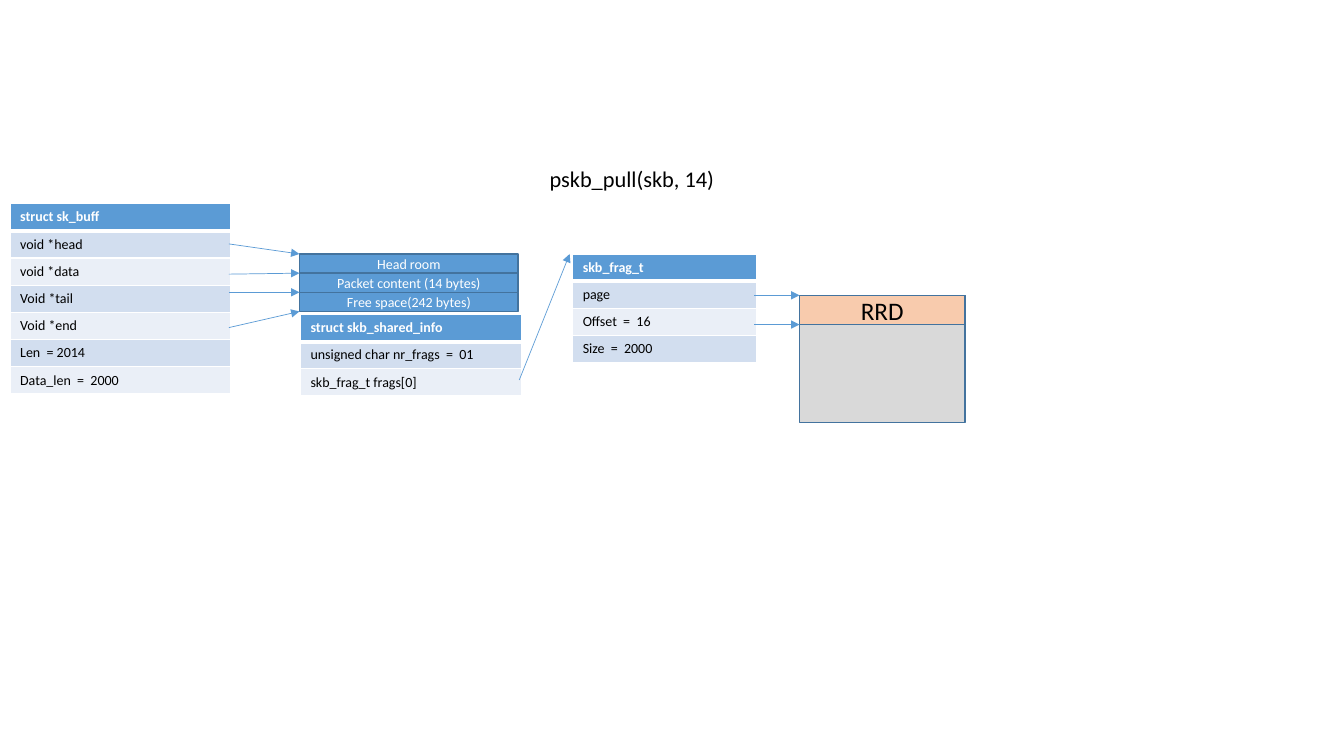
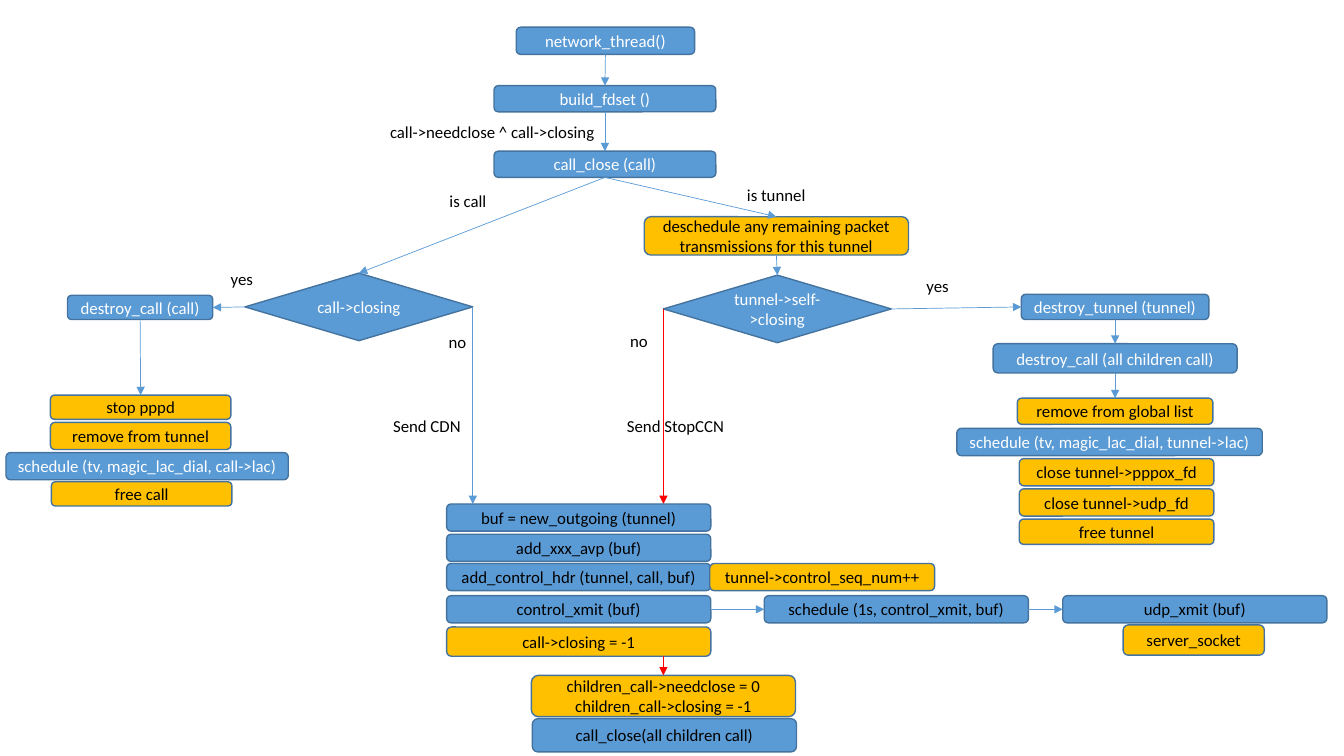
import pptx
import pptx.dml.color
import pptx.enum.shapes
import pptx.enum.text
import pptx.oxml
import pptx.oxml.ns
import pptx.util

Inches = pptx.util.Inches
Pt = pptx.util.Pt
RGBColor = pptx.dml.color.RGBColor
SHAPES = pptx.enum.shapes.MSO_SHAPE
ALIGN = pptx.enum.text.PP_ALIGN
ANCHOR = pptx.enum.text.MSO_ANCHOR
qn = pptx.oxml.ns.qn

# Shared look
FONT = "Calibri"
BLUE = RGBColor(0x5B, 0x9B, 0xD5)
OUTLINE = RGBColor(0x43, 0x73, 0x9E)
GOLD = RGBColor(0xFF, 0xC0, 0x00)
RED = RGBColor(0xFF, 0x00, 0x00)
PEACH = RGBColor(0xF8, 0xCB, 0xAD)
GREY = RGBColor(0xD9, 0xD9, 0xD9)
BAND_DARK = RGBColor(0xD2, 0xDE, 0xEF)
BAND_LIGHT = RGBColor(0xEA, 0xEF, 0xF7)
WHITE = RGBColor(0xFF, 0xFF, 0xFF)
BLACK = RGBColor(0x00, 0x00, 0x00)

# Box styles: fill and text colour
CALL = (BLUE, WHITE)
SEND = (BLUE, BLACK)
STATE = (GOLD, BLACK)

TOP, LEFT, BOTTOM, RIGHT = range(4)
ROW_HEIGHT = 0.27
LAYER_HEIGHT = 0.19


def set_text(frame, text, *, size=12, color=BLACK, bold=False, align=ALIGN.LEFT):
    """Fill a text frame, one paragraph for each line of text."""
    frame.text = text
    for paragraph in frame.paragraphs:
        paragraph.alignment = align
        for run in paragraph.runs:
            run.font.name = FONT
            run.font.size = Pt(size)
            run.font.bold = bold
            run.font.color.rgb = color


def add_box(slide, text, left, top, width, height, style=CALL,
            kind=SHAPES.ROUNDED_RECTANGLE, size=12):
    fill, ink = style
    shape = slide.shapes.add_shape(
        kind, Inches(left), Inches(top), Inches(width), Inches(height))
    shape.shadow.inherit = False
    shape.fill.solid()
    shape.fill.fore_color.rgb = fill
    shape.line.color.rgb = OUTLINE
    shape.line.width = Pt(1)
    if text:
        shape.text_frame.word_wrap = True
        shape.text_frame.vertical_anchor = ANCHOR.MIDDLE
        set_text(shape.text_frame, text, size=size, color=ink, align=ALIGN.CENTER)
    return shape


def add_boxes(slide, left, top, rows):
    """Draw boxes given as text, x, y, width, height, style from a corner."""
    return [add_box(slide, text, left + x, top + y, width, height, style)
            for text, x, y, width, height, style in rows]


def add_label(slide, text, left, top, width):
    label = slide.shapes.add_textbox(
        Inches(left), Inches(top), Inches(width), Inches(0.3))
    label.text_frame.word_wrap = False
    label.text_frame.auto_size = pptx.enum.text.MSO_AUTO_SIZE.SHAPE_TO_FIT_TEXT
    set_text(label.text_frame, text)


def add_arrow(slide, start, end, color=BLUE):
    """Each end is a point (x, y) in inches or a joint (shape, side)."""
    joined = [not isinstance(place[0], (int, float)) for place in (start, end)]
    points = [(0, 0) if joint else place
              for joint, place in zip(joined, (start, end))]
    connector = slide.shapes.add_connector(
        pptx.enum.shapes.MSO_CONNECTOR.STRAIGHT,
        *[Inches(value) for point in points for value in point])
    if joined[0]:
        connector.begin_connect(*start)
    if joined[1]:
        connector.end_connect(*end)
    connector.line.color.rgb = color
    connector.line.width = Pt(0.5)
    properties = connector.element.spPr
    tail = pptx.oxml.ns.nsdecls("a")
    properties.find(qn("a:ln")).append(
        pptx.oxml.parse_xml(f'<a:tailEnd {tail} type="triangle"/>'))
    properties.append(pptx.oxml.parse_xml(f"<a:effectLst {tail}/>"))


def set_borders(cell, bottom):
    """White cell borders; widths in points."""
    properties = cell._tc.get_or_add_tcPr()
    widths = (("lnL", 1), ("lnR", 1), ("lnT", 1), ("lnB", bottom))
    for index, (tag, width) in enumerate(widths):
        properties.insert(index, pptx.oxml.parse_xml(
            f'<a:{tag} {pptx.oxml.ns.nsdecls("a")} w="{Pt(width)}">'
            f'<a:solidFill><a:srgbClr val="{WHITE}"/></a:solidFill></a:{tag}>'))


def add_struct(slide, left, top, width, fields):
    """A one-column table: struct name, then its banded fields."""
    table = slide.shapes.add_table(
        len(fields), 1, Inches(left), Inches(top), Inches(width),
        Inches(ROW_HEIGHT * len(fields))).table
    for index, field in enumerate(fields):
        header = index == 0
        table.rows[index].height = Inches(ROW_HEIGHT)
        cell = table.cell(index, 0)
        cell.fill.solid()
        cell.fill.fore_color.rgb = (
            BLUE if header else BAND_DARK if index % 2 else BAND_LIGHT)
        set_borders(cell, bottom=3 if header else 1)
        set_text(cell.text_frame, field, size=10, bold=header,
                 color=WHITE if header else BLACK)


# Slide 1: buffer layout
def add_title(slide, text, left, top, width, height):
    title = slide.shapes.title
    title.left, title.top = Inches(left), Inches(top)
    title.width, title.height = Inches(width), Inches(height)
    title.text_frame.vertical_anchor = ANCHOR.TOP
    set_text(title.text_frame, text, size=16)


def draw_linear_data(slide, left, top):
    """Stacked parts of the linear buffer, with the shared info below."""
    layers = ("Head room", "Packet content (14 bytes)", "Free space(242 bytes)")
    for index, text in enumerate(layers):
        add_box(slide, text, left, top + index * LAYER_HEIGHT, 2.17,
                LAYER_HEIGHT, kind=SHAPES.RECTANGLE, size=10)
    add_struct(slide, left + 0.01, top + 0.6, 2.19, (
        "struct skb_shared_info", "unsigned char nr_frags  =  01",
        "skb_frag_t frags[0]"))


def draw_page(slide, left, top):
    """Memory page with its descriptor, and the arrows from the fragment."""
    width, head = 1.64, 0.29
    add_box(slide, "", left, top, width, 1.26, (GREY, BLACK), SHAPES.RECTANGLE)
    add_box(slide, "RRD", left, top, width, head, (PEACH, BLACK),
            SHAPES.RECTANGLE, size=18)
    for y in (top, top + head):
        add_arrow(slide, (left - 0.45, y), (left, y))


def build_buffer_slide(presentation):
    slide = presentation.slides.add_slide(presentation.slide_layouts[5])
    add_title(slide, "pskb_pull(skb, 14)", 5.35, 1.59, 2.12, 0.37)
    add_struct(slide, 0.1, 2.02, 2.19, (
        "struct sk_buff", "void *head", "void *data", "Void *tail",
        "Void *end", "Len  = 2014", "Data_len  =  2000"))
    linear_left, linear_top = 2.97, 2.52
    draw_linear_data(slide, linear_left, linear_top)
    add_struct(slide, 5.68, linear_top, 1.82, (
        "skb_frag_t", "page", "Offset  =  16", "Size  =  2000"))
    draw_page(slide, 7.93, 2.93)
    # Pointers into the linear buffer and to the fragment
    for index, pointer_y in enumerate((2.42, 2.72, 2.9, 3.25)):
        add_arrow(slide, (2.27, pointer_y),
                  (linear_left, linear_top + index * LAYER_HEIGHT))
    add_arrow(slide, (5.15, 3.77), (5.65, linear_top))


# Slide 2: close flow
def draw_entry(slide, left, top):
    """The thread loop down to call_close, which is returned."""
    steps = add_boxes(slide, left, top, (
        ("network_thread()", 0.22, 0, 1.77, 0.27, CALL),
        ("build_fdset ()", 0, 0.58, 2.2, 0.26, CALL),
        ("call_close (call)", 0, 1.23, 2.2, 0.26, CALL)))
    for upper, lower in zip(steps, steps[1:]):
        add_arrow(slide, (upper, BOTTOM), (lower, TOP))
    add_label(slide, "call->needclose ^ call->closing", left - 1.13, top + 0.89, 2.26)
    return steps[-1]


def draw_call_branch(slide, left, top, close):
    """The call decision and the steps that destroy the call."""
    decision = add_box(slide, "call->closing", left + 2.37, top, 2.26, 0.67,
                       kind=SHAPES.FLOWCHART_DECISION)
    destroy, first, *_ = add_boxes(slide, left, top, (
        ("destroy_call (call)", 0.61, 0.22, 1.44, 0.24, CALL),
        ("stop pppd", 0.44, 1.21, 1.79, 0.24, STATE),
        ("remove from tunnel", 0.44, 1.48, 1.79, 0.27, STATE),
        ("schedule (tv, magic_lac_dial, call->lac)", 0, 1.78, 2.8, 0.27, CALL),
        ("free call", 0.45, 2.07, 1.79, 0.24, STATE)))
    add_arrow(slide, (close, BOTTOM), (decision, TOP))
    add_arrow(slide, (decision, LEFT), (destroy, RIGHT))
    add_arrow(slide, (destroy, BOTTOM), (first, TOP))
    add_arrow(slide, (decision, RIGHT), (left + 4.63, top + 2.29))
    for text, x, y, width in (
            ("is call", 4.3, -0.87, 0.57), ("yes", 2.13, -0.09, 0.43),
            ("no", 4.29, 0.53, 0.38), ("Send CDN", 3.74, 1.37, 0.88)):
        add_label(slide, text, left + x, top + y, width)


def draw_tunnel_branch(slide, left, top, close):
    """The tunnel decision and the steps that destroy the tunnel."""
    decision = add_box(slide, "tunnel->self->closing", left + 0.19, top + 0.58,
                       2.26, 0.67, kind=SHAPES.FLOWCHART_DECISION)
    deschedule, destroy, children, first, *_ = add_boxes(slide, left, top, (
        ("deschedule any remaining packet transmissions for this tunnel",
         0, 0, 2.62, 0.38, STATE),
        ("destroy_tunnel (tunnel)", 3.74, 0.77, 1.86, 0.25, CALL),
        ("destroy_call (all children call)", 3.46, 1.26, 2.42, 0.29, CALL),
        ("remove from global list", 3.7, 1.8, 1.94, 0.26, STATE),
        ("schedule (tv, magic_lac_dial, tunnel->lac)", 3.1, 2.1, 3.03, 0.27, CALL),
        ("close tunnel->pppox_fd", 3.72, 2.4, 1.93, 0.27, STATE),
        ("close tunnel->udp_fd", 3.72, 2.7, 1.93, 0.27, STATE),
        ("free tunnel", 3.72, 3, 1.93, 0.25, STATE)))
    add_arrow(slide, (close, BOTTOM), (deschedule, TOP))
    add_arrow(slide, (deschedule, BOTTOM), (decision, TOP))
    add_arrow(slide, (decision, RIGHT), (destroy, LEFT))
    add_arrow(slide, (destroy, BOTTOM), (children, TOP))
    add_arrow(slide, (children, BOTTOM), (first, TOP))
    add_arrow(slide, (decision, LEFT), (left + 0.19, top + 2.85), RED)
    for text, x, y, width in (
            ("is tunnel", 0.92, -0.37, 0.79), ("yes", 2.7, 0.54, 0.43),
            ("no", -0.24, 1.08, 0.38), ("Send StopCCN", -0.27, 1.93, 1.17)):
        add_label(slide, text, left + x, top + y, width)


def draw_send_chain(slide, left, top):
    """Building and sending the control message, then closing the children."""
    width = 2.62
    boxes = add_boxes(slide, left, top, (
        ("buf = new_outgoing (tunnel)", 0, 0, width, 0.27, SEND),
        ("add_xxx_avp (buf)", 0, 0.3, width, 0.27, SEND),
        ("add_control_hdr (tunnel, call, buf)", 0, 0.59, width, 0.27, SEND),
        ("tunnel->control_seq_num++", 2.61, 0.59, 2.23, 0.27, STATE),
        ("call->closing = -1", 0, 1.22, width, 0.29, STATE),
        ("server_socket", 6.71, 1.2, 1.4, 0.3, STATE),
        ("call_close(all children call)", 0.85, 2.13, width, 0.33, SEND),
        ("children_call->needclose = 0\nchildren_call->closing = -1",
         0.84, 1.7, width, 0.41, STATE)))
    transmit = add_boxes(slide, left, top, (
        ("control_xmit (buf)", 0, 0.91, width, 0.27, SEND),
        ("schedule (1s, control_xmit, buf)", 3.15, 0.91, width, 0.27, SEND),
        ("udp_xmit (buf)", 6.11, 0.91, width, 0.27, SEND)))
    for before, after in zip(transmit, transmit[1:]):
        add_arrow(slide, (before, RIGHT), (after, LEFT))
    add_arrow(slide, (left + 2.15, top + 1.51), (boxes[-1], TOP), RED)


def build_close_slide(presentation):
    slide = presentation.slides.add_slide(presentation.slide_layouts[6])
    close = draw_entry(slide, 4.9, 0.27)
    draw_call_branch(slide, 0.06, 2.71, close)
    draw_tunnel_branch(slide, 6.39, 2.15, close)
    draw_send_chain(slide, 4.43, 5)


def main():
    presentation = pptx.Presentation()
    presentation.slide_width = Inches(13.33)
    presentation.slide_height = Inches(7.5)
    build_buffer_slide(presentation)
    build_close_slide(presentation)
    presentation.save("out.pptx")


if __name__ == "__main__":
    main()
